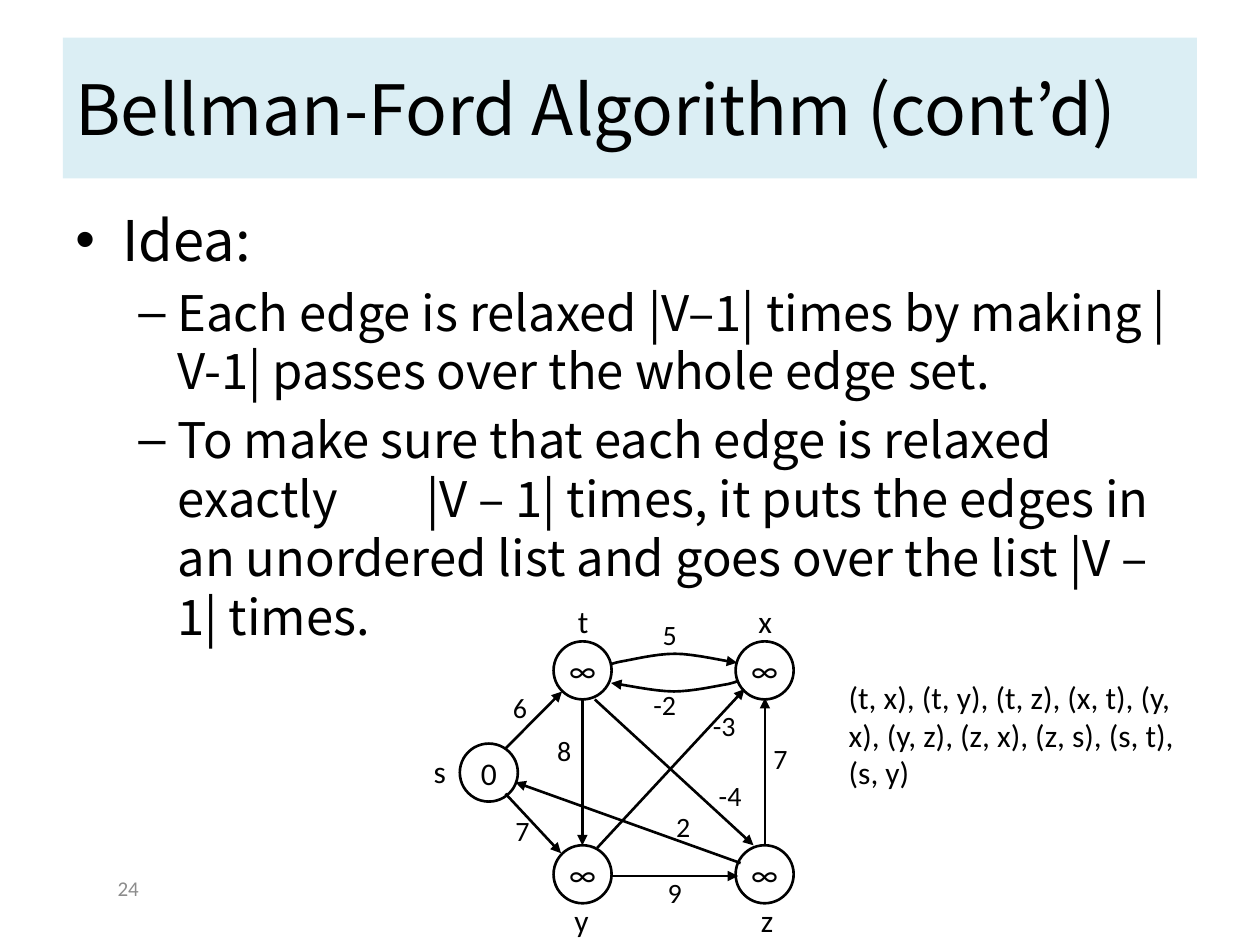
from typing import NamedTuple

from lxml import etree
from pptx import Presentation
from pptx import util as u
from pptx.dml.color import RGBColor
from pptx.enum import shapes, text
from pptx.oxml.ns import qn

COLORS = {"ink": "000000", "title": "DBEEF4", "number": "8C8C8C"}
CJK, LATIN = "Noto Sans CJK KR", "Calibri"
NODE_SIZE = 1.17
LINE_WIDTH = u.Pt(1.5)


class Node(NamedTuple):
    left: float
    top: float
    value: str


class Label(NamedTuple):
    left: float
    top: float
    width: float
    text: str


class Edge(NamedTuple):
    x1: float
    y1: float
    x2: float
    y2: float


class Item(NamedTuple):
    text: str
    bullet: str
    size: float
    margin: float
    hang: float
    before: float
    tab: float = 0


NODES = [Node(9.27, 14.99, "0")] + [
    Node(x, y, "∞") for y in (12.93, 17.04) for x in (11.16, 14.83)]
NAMES = [
    Label(8.49, 15.04, 0.84, "s"), Label(11.4, 12.02, 0.69, "t"),
    Label(15.04, 12.02, 0.84, "x"), Label(11.33, 18.03, 0.84, "y"),
    Label(15.09, 18.03, 0.84, "z"),
]
WEIGHTS = [
    Label(10.09, 13.79, 0.81, "6"), Label(13.11, 12.32, 0.81, "5"),
    Label(10.14, 16.28, 0.81, "7"), Label(15.34, 14.83, 0.81, "7"),
    Label(13.21, 17.53, 0.81, "9"), Label(10.98, 14.66, 0.81, "8"),
    Label(14.12, 14.15, 1.02, "-3"), Label(13.38, 16.2, 0.81, "2"),
    Label(14.24, 15.57, 1.02, "-4"), Label(12.92, 13.74, 1.02, "-2"),
]
EDGES = [
    Edge(10.19, 15.09, 11.33, 13.94), Edge(10.19, 16, 11.31, 17.2),
    Edge(12.34, 17.66, 14.88, 17.66), Edge(12.04, 17.09, 15.01, 13.89),
    Edge(14.93, 17.4, 10.39, 15.77), Edge(11.74, 14.07, 11.74, 17.04),
    Edge(15.42, 17.04, 15.42, 14.07), Edge(11.99, 14.1, 15.19, 17.04),
]
# Each curve is a start point followed by cubic segments of three points.
T_TO_X = [(12.34, 13.41), (12.32, 13.39), (12.29, 13.39), (12.5, 13.34),
          (12.7, 13.31), (13.21, 13.18), (13.61, 13.18),
          (14, 13.18), (14.66, 13.34), (14.86, 13.36)]
X_TO_T = [(14.83, 13.72), (14.86, 13.74), (14.88, 13.74), (14.68, 13.79),
          (14.48, 13.82), (13.97, 13.94), (13.59, 13.94),
          (13.18, 13.94), (12.52, 13.79), (12.32, 13.77)]
ITEMS = [
    Item("Idea:", "•", 32, 0.95, 0.95, 0),
    Item("Each edge is relaxed |V–1| times by making |V-1| passes over "
         "the whole edge set.", "–", 28, 2.06, 0.79, 5.6),
    Item("To make sure that each edge is relaxed exactly\t|V – 1| times, it "
         "puts the edges in an unordered list and goes over the list "
         "|V – 1| times.", "–", 28, 2.06, 0.79, 5.6, 7.07),
]


def rgb(name: str) -> RGBColor:
    return RGBColor.from_string(COLORS[name])


def apply(target, values: dict) -> None:
    for name, value in values.items():
        setattr(target, name, value)


def write(p, content: str, size: float, face: str = LATIN, color: str = "ink") -> None:
    r = p.add_run()
    r.text = content
    apply(r.font, {"size": u.Pt(size), "name": face})
    r.font.color.rgb = rgb(color)
    rpr = r.font._element
    for tag in ("a:ea", "a:cs"):
        etree.SubElement(rpr, qn(tag), typeface=face)


def add_box(s, left: float, top: float, width: float, height: float, **frame):
    sp = s.shapes.add_textbox(u.Cm(left), u.Cm(top), u.Cm(width), u.Cm(height))
    apply(sp.text_frame, {"word_wrap": True, **frame})
    return sp


def add_labels(s, labels: list[Label], height: float, size: float) -> None:
    for label in labels:
        sp = add_box(s, label.left, label.top, label.width, height, word_wrap=False)
        write(sp.text_frame.paragraphs[0], label.text, size)


def add_node(s, node: Node) -> None:
    sp = s.shapes.add_shape(shapes.MSO_SHAPE.OVAL, u.Cm(node.left), u.Cm(node.top),
                            u.Cm(NODE_SIZE), u.Cm(NODE_SIZE))
    sp.shadow.inherit = False
    sp.fill.background()
    sp.line.color.rgb, sp.line.width = rgb("ink"), LINE_WIDTH
    tf = sp.text_frame
    apply(tf, {"word_wrap": False, "vertical_anchor": text.MSO_ANCHOR.MIDDLE})
    p = tf.paragraphs[0]
    p.alignment = text.PP_ALIGN.CENTER
    write(p, node.value, 18)


def style_arrow(sp) -> None:
    sp.line.color.rgb, sp.line.width = rgb("ink"), LINE_WIDTH
    etree.SubElement(sp.line._get_or_add_ln(), qn("a:tailEnd"), type="triangle")


def add_edge(s, edge: Edge) -> None:
    sp = s.shapes.add_connector(shapes.MSO_CONNECTOR.STRAIGHT, *map(u.Cm, edge))
    style_arrow(sp)
    etree.SubElement(sp._element.spPr, qn("a:effectLst"))


def add_curve(s, points: list[tuple[float, float]], steps: int = 8) -> None:
    """Draw chained cubic segments as a finely divided open outline."""
    outline = []
    for i in range(0, len(points) - 1, 3):
        for t in (k / steps for k in range(1, steps + 1)):
            weights = ((1 - t) ** 3, 3 * t * (1 - t) ** 2, 3 * t * t * (1 - t), t ** 3)
            outline.append(tuple(
                u.Cm(sum(w * pt[axis] for w, pt in zip(weights, points[i:i + 4])))
                for axis in (0, 1)))
    builder = s.shapes.build_freeform(*map(u.Cm, points[0]))
    builder.add_line_segments(outline, close=False)
    sp = builder.convert_to_shape()
    sp.shadow.inherit = False
    sp.fill.background()
    style_arrow(sp)


def add_item(p, item: Item) -> None:
    p.space_before = u.Pt(item.before)
    ppr = p._p.get_or_add_pPr()
    ppr.set("marL", str(u.Cm(item.margin)))
    ppr.set("indent", str(-u.Cm(item.hang)))
    etree.SubElement(ppr, qn("a:buFont"), typeface="Arial")
    etree.SubElement(ppr, qn("a:buChar"), char=item.bullet)
    if item.tab:
        tabs = etree.SubElement(ppr, qn("a:tabLst"))
        etree.SubElement(tabs, qn("a:tab"), pos=str(u.Cm(item.tab)), algn="l")
    write(p, item.text, item.size, CJK)


def main() -> None:
    prs = Presentation()
    prs.slide_width, prs.slide_height = u.Cm(25.4), u.Cm(19.05)
    s = prs.slides.add_slide(prs.slide_layouts[6])
    middle = text.MSO_ANCHOR.MIDDLE

    number = add_box(s, 2.12, 17.37, 12.7, 1.07, vertical_anchor=middle)
    write(number.text_frame.paragraphs[0], "24", 12, color="number")

    title = add_box(s, 1.27, 0.76, 22.86, 2.84, vertical_anchor=middle)
    title.fill.solid()
    title.fill.fore_color.rgb = rgb("title")
    write(title.text_frame.paragraphs[0], "Bellman-Ford Algorithm (cont’d)", 39.6, CJK)

    tf = add_box(s, 1.27, 4.01, 22.86, 13).text_frame
    for i, item in enumerate(ITEMS):
        add_item(tf.add_paragraph() if i else tf.paragraphs[0], item)

    for node in NODES:
        add_node(s, node)
    for edge in EDGES:
        add_edge(s, edge)
    for curve in (T_TO_X, X_TO_T):
        add_curve(s, curve)
    add_labels(s, NAMES, 1.02, 18)
    add_labels(s, WEIGHTS, 0.94, 16)

    order = add_box(s, 16.86, 13.54, 7.26, 2.57)
    write(order.text_frame.paragraphs[0],
          "(t, x), (t, y), (t, z), (x, t), (y, x), (y, z), (z, x), (z, s), (s, t), (s, y)", 18)
    prs.save("out.pptx")


if __name__ == "__main__":
    main()
